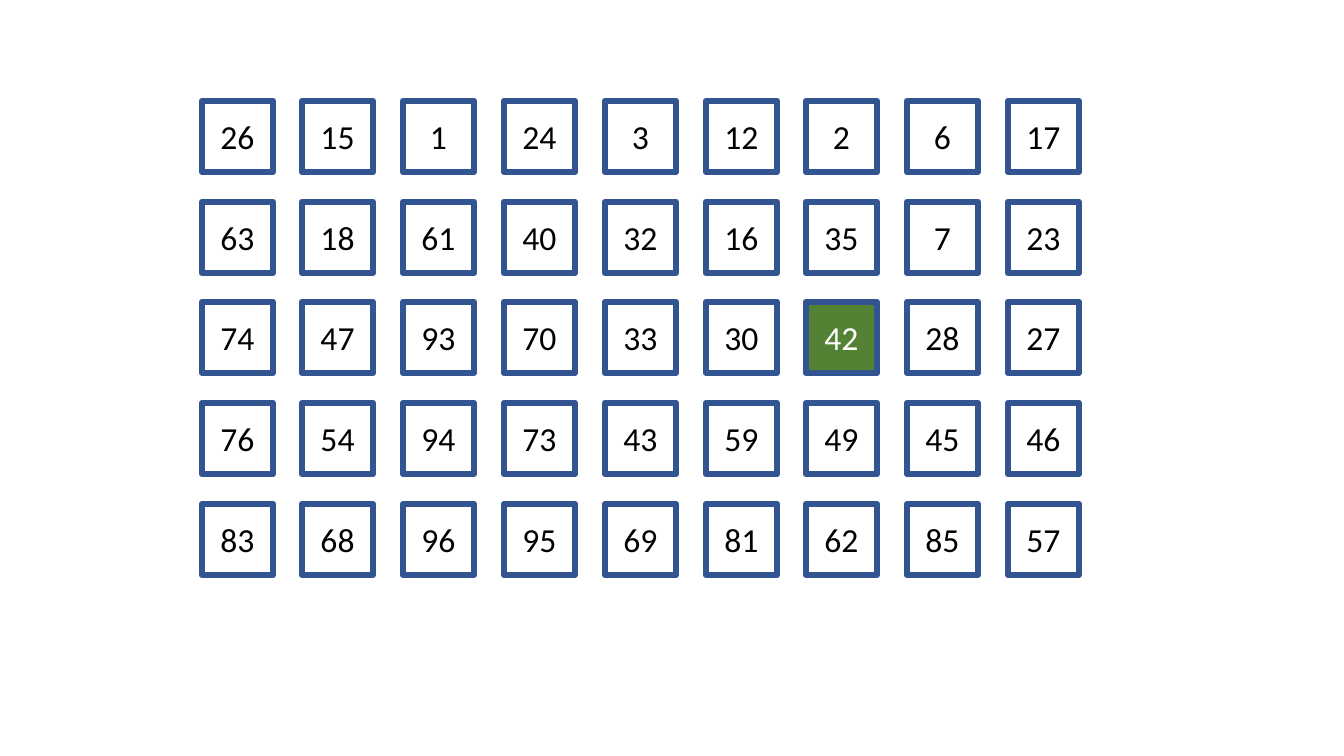
from pptx import Presentation
from pptx.dml.color import RGBColor
from pptx.enum.shapes import MSO_SHAPE as SHAPE
from pptx.enum.text import MSO_ANCHOR as ANCHOR, PP_ALIGN as ALIGN
from pptx.util import Pt

EMU_PER_PX = 914400 / 100.8
PITCH = 100.8  # one inch between neighbouring boxes
BOX = 71
FIRST_COL, FIRST_ROW = 2, 1
PIVOT = 42

ROWS = [
    [26, 15, 1, 24, 3, 12, 2, 6, 17],
    [63, 18, 61, 40, 32, 16, 35, 7, 23],
    [74, 47, 93, 70, 33, 30, 42, 28, 27],
    [76, 54, 94, 73, 43, 59, 49, 45, 46],
    [83, 68, 96, 95, 69, 81, 62, 85, 57],
]


def px(n):
    return round(n * EMU_PER_PX)


def rgb(code):
    return RGBColor.from_string(code)


prs = Presentation()
prs.slide_width, prs.slide_height = px(1344), px(756)
s = prs.slides.add_slide(prs.slide_layouts[6])

# One group of five boxes per column
for c, column in enumerate(zip(*ROWS), FIRST_COL):
    group = s.shapes.add_group_shape()
    for r, number in enumerate(column, FIRST_ROW):
        left, top = round(c * PITCH), round(r * PITCH)
        sp = group.shapes.add_shape(SHAPE.RECTANGLE, px(left), px(top), px(BOX), px(BOX))
        sp.shadow.inherit = False
        sp.line.color.rgb = rgb("325491")
        sp.line.width = Pt(4.5)

        # The pivot stands out in green
        if number == PIVOT:
            sp.fill.solid()
            sp.fill.fore_color.rgb = rgb("548235")
        else:
            sp.fill.background()

        tf = sp.text_frame
        tf.vertical_anchor = ANCHOR.MIDDLE
        p = tf.paragraphs[0]
        p.text = str(number)
        p.alignment = ALIGN.CENTER
        p.font.name = "Calibri"
        p.font.size = Pt(24)
        p.font.color.rgb = rgb("FFFFFF" if number == PIVOT else "000000")

prs.save("out.pptx")
